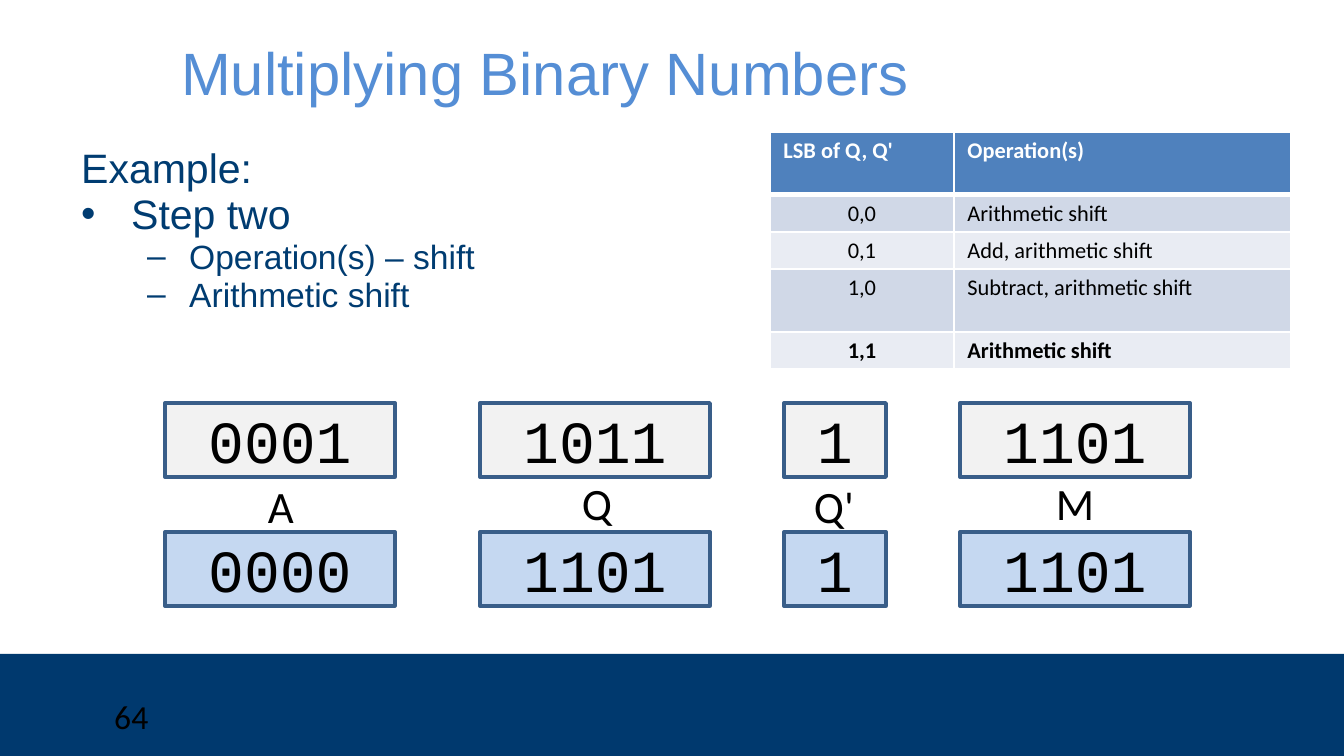
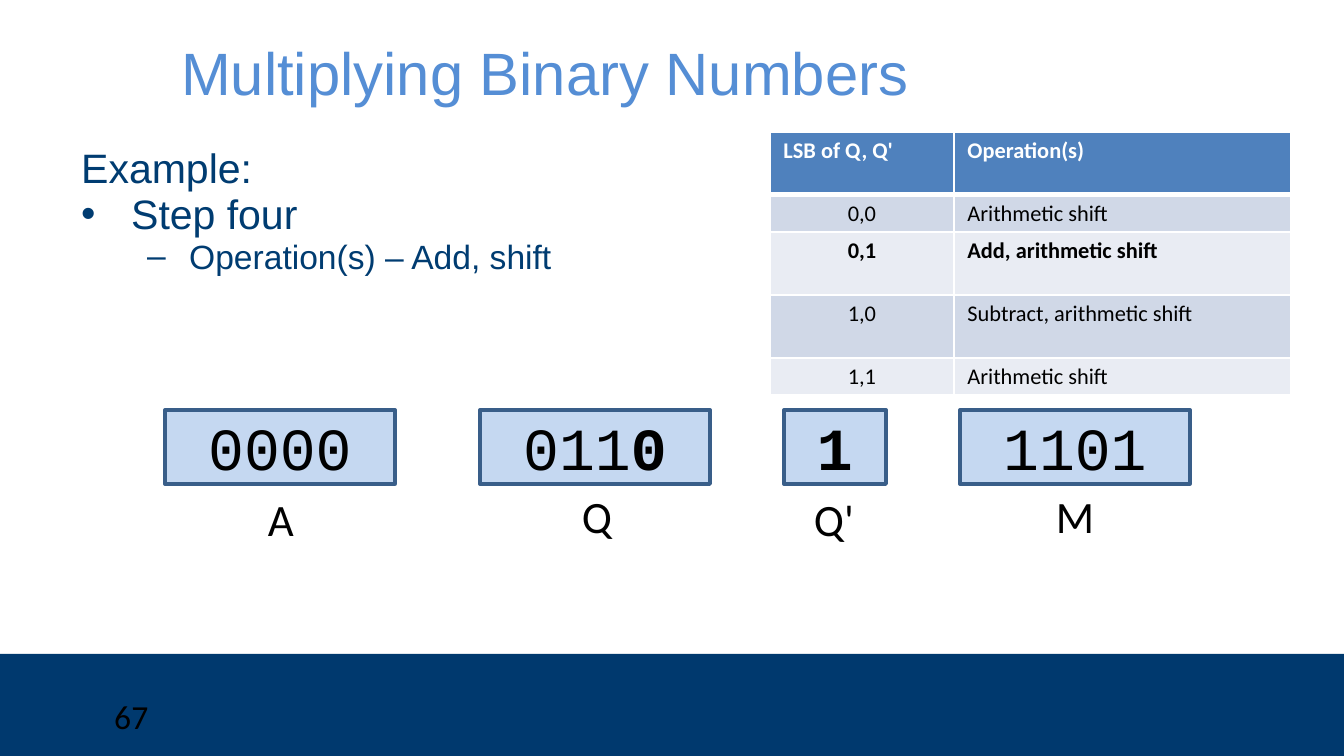
from lxml import etree
from pptx import Presentation
from pptx.dml.color import RGBColor
from pptx.enum.shapes import MSO_SHAPE
from pptx.enum.text import MSO_ANCHOR, PP_ALIGN
from pptx.oxml.ns import qn
from pptx.util import Pt

PX = 9144000 // 1344  # EMU in one px
NAVY, BODY, TITLE, BLACK, WHITE = "00396E", "003C71", "558ED5", "000000", "FFFFFF"
HEADER, BANDS = "4F81BD", ("E9ECF3", "D0D8E7")
GREY, BLUE, OUTLINE = "F2F2F2", "C5D8F1", "395E89"
rgb = RGBColor.from_string

OPERATIONS = [
    ("LSB of Q, Q'", "Operation(s)"),
    ("0,0", "Arithmetic shift"),
    ("0,1", "Add, arithmetic shift"),
    ("1,0", "Subtract, arithmetic shift"),
    ("1,1", "Arithmetic shift"),
]
# name, box left, box width, label left, label width, label drop
REGISTERS = [
    ("A", 165, 230, 253, 56, 3),
    ("Q", 480, 230, 566, 62, 0),
    ("Q'", 784, 102, 797, 74, 3),
    ("M", 960, 230, 1042, 66, 0),
]
# Each register value is a regular part followed by a bold part
STEPS = [
    {
        "number": "64",
        "lines": ["Example:", "Step two", "Operation(s) – shift", "Arithmetic shift"],
        "bold_row": 4,
        "tall_rows": (0, 3),
        "label_top": 469,
        "states": [
            (403, GREY, [("0001", ""), ("1011", ""), ("1", ""), ("1101", "")]),
            (532, BLUE, [("0000", ""), ("1101", ""), ("1", ""), ("1101", "")]),
        ],
    },
    {
        "number": "67",
        "lines": ["Example:", "Step four", "Operation(s) – Add, shift"],
        "bold_row": 2,
        "tall_rows": (0, 2, 3),
        "label_top": 482,
        "states": [
            (410, BLUE, [("0000", ""), ("011", "0"), ("", "1"), ("1101", "")]),
        ],
    },
]


def write(paragraph, regular, bold, size, font, color, align=PP_ALIGN.LEFT):
    paragraph.alignment = align
    for text, is_bold in ((regular, False), (bold, True)):
        if text:
            run = paragraph.add_run()
            run.text = text
            run.font.size, run.font.name, run.font.bold = Pt(size), font, is_bold
            run.font.color.rgb = rgb(color)


def add_box(slide, left, top, width, height, fill=None, line=None):
    area = [value * PX for value in (left, top, width, height)]
    if fill is None:
        shape = slide.shapes.add_textbox(*area)
    else:
        shape = slide.shapes.add_shape(MSO_SHAPE.RECTANGLE, *area)
        shape.shadow.inherit = False
        shape.fill.solid()
        shape.fill.fore_color.rgb = rgb(fill)
        if line:
            shape.line.color.rgb = rgb(line)
            shape.line.width = Pt(2)
        else:
            shape.line.fill.background()
    shape.text_frame.word_wrap = True
    return shape


presentation = Presentation()
presentation.slide_width, presentation.slide_height = 1344 * PX, 756 * PX

for step in STEPS:
    slide = presentation.slides.add_slide(presentation.slide_layouts[6])

    # Footer band and slide number
    add_box(slide, 0, 654, 1344, 102, NAVY)
    number = add_box(slide, 101, 689, 280, 50)
    write(number.text_frame.paragraphs[0], step["number"], "", 18, "Calibri", BLACK)

    # Step description: plain line, bullet, then dashes
    body = add_box(slide, 67, 141, 1171, 470).text_frame
    for index, line in enumerate(step["lines"]):
        paragraph = body.paragraphs[0] if index == 0 else body.add_paragraph()
        nested = index > 1
        write(paragraph, line, "", 18 if nested else 22, "Arial", BODY)
        paragraph.level = int(nested)
        paragraph.line_spacing = 0.9
        paragraph.space_before = Pt(1)
        properties = paragraph._p.get_or_add_pPr()
        margin, indent = (109, -42) if nested else (51, -50)
        properties.set("marL", str(margin * PX))
        properties.set("indent", str(indent * PX))
        if index:
            bullet_color = etree.SubElement(properties, qn("a:buClr"))
            etree.SubElement(bullet_color, qn("a:srgbClr"), val=BODY)
            etree.SubElement(properties, qn("a:buFont"), typeface="Arial")
            etree.SubElement(properties, qn("a:buChar"), char="–" if nested else "•")

    # Operation table, with the current case in bold
    heights = [63 if row in step["tall_rows"] else 37 for row in range(len(OPERATIONS))]
    table = slide.shapes.add_table(
        len(OPERATIONS), 2, 770 * PX, 132 * PX, 521 * PX, sum(heights) * PX
    ).table
    table.columns[0].width, table.columns[1].width = 184 * PX, 337 * PX
    for row, texts in enumerate(OPERATIONS):
        table.rows[row].height = heights[row] * PX
        for column, text in enumerate(texts):
            cell = table.cell(row, column)
            cell.margin_top = cell.margin_bottom = 5 * PX
            cell_properties = cell._tc.get_or_add_tcPr()
            for side in "LRTB":
                thick = (row, side) in ((0, "B"), (1, "T"))
                border = etree.SubElement(
                    cell_properties, qn("a:ln" + side), w=str(Pt(3 if thick else 0.96))
                )
                border_fill = etree.SubElement(border, qn("a:solidFill"))
                etree.SubElement(border_fill, qn("a:srgbClr"), val=WHITE)
            cell.fill.solid()
            cell.fill.fore_color.rgb = rgb(BANDS[row % 2] if row else HEADER)
            bold = row in (0, step["bold_row"])
            write(
                cell.text_frame.paragraphs[0],
                "" if bold else text,
                text if bold else "",
                12,
                "Calibri",
                BLACK if row else WHITE,
                PP_ALIGN.CENTER if row and column == 0 else PP_ALIGN.LEFT,
            )

    # Register names
    for name, _, _, left, width, drop in REGISTERS:
        label = add_box(slide, left, step["label_top"] + drop, width, 50)
        write(label.text_frame.paragraphs[0], name, "", 24, "Calibri", BLACK, PP_ALIGN.CENTER)

    # Register contents
    for top, fill, values in step["states"]:
        for (_, left, width, *_), (regular, bold) in zip(REGISTERS, values):
            register = add_box(slide, left, top, width, 74, fill, OUTLINE)
            register.text_frame.vertical_anchor = MSO_ANCHOR.MIDDLE
            write(register.text_frame.paragraphs[0], regular, bold, 32, "Courier New",
                  BLACK, PP_ALIGN.CENTER)

    # Title
    title = add_box(slide, 168, 42, 1008, 60)
    title.text_frame.vertical_anchor = MSO_ANCHOR.MIDDLE
    write(title.text_frame.paragraphs[0], "Multiplying Binary Numbers", "", 32, "Arial", TITLE)

presentation.save("out.pptx")
